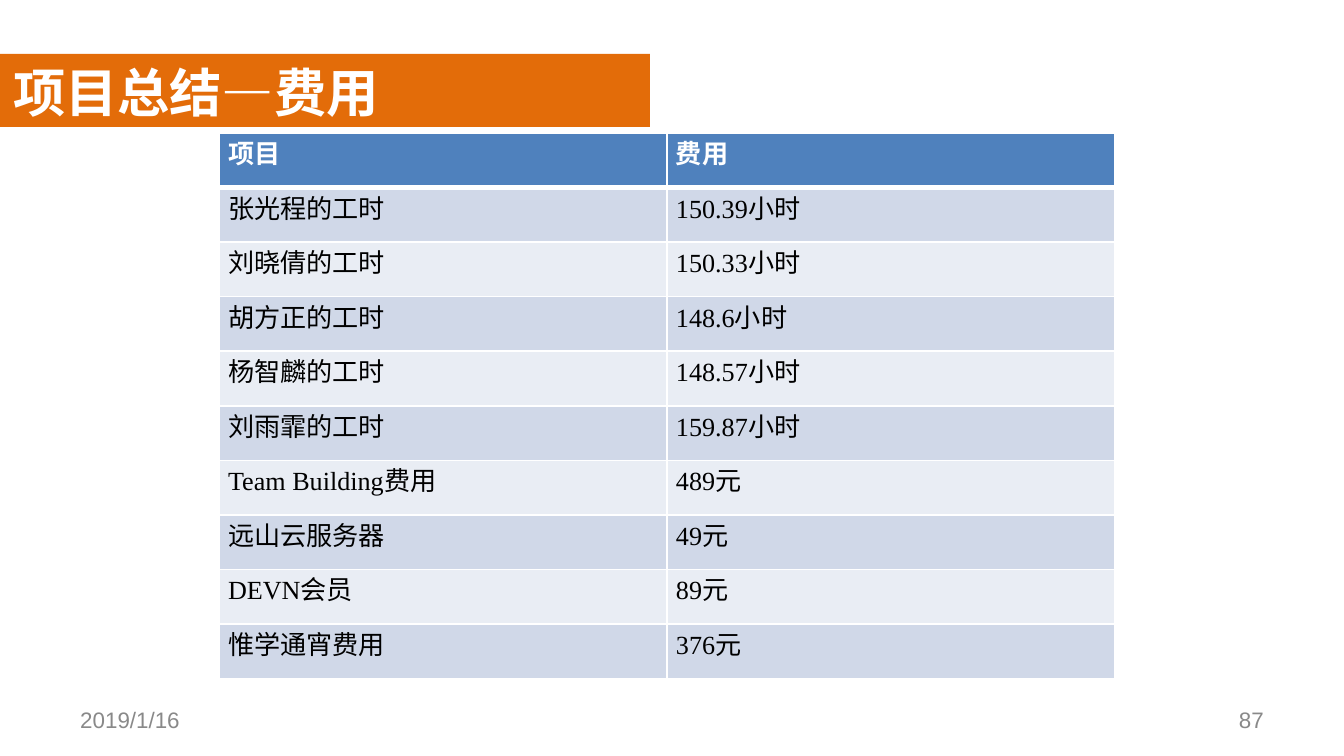
from dataclasses import dataclass

from lxml.etree import SubElement
from pptx import Presentation
from pptx.dml.color import RGBColor as RGB
from pptx.enum.shapes import MSO_SHAPE as Shape
from pptx.enum.text import MSO_ANCHOR as Anchor, PP_ALIGN as Align
from pptx.oxml.ns import qn
from pptx.util import Emu, Pt

PX = 914400 / 134.4


def px(n):
    return Emu(round(n * PX))


@dataclass(frozen=True)
class Theme:
    white: str = "FFFFFF"
    black: str = "000000"
    orange: str = "E36C09"
    gray: str = "898989"
    header: str = "4F81BD"
    bands: tuple = ("D0D8E8", "E9EDF4")
    title_font: str = "Calibri"
    table_font: str = "Times New Roman"
    footer_font: str = "Arial"
    title_size: int = 28
    table_size: int = 14
    footer_size: int = 12
    rule: int = 1
    header_rule: int = 3


class Deck:
    def __init__(self, theme, width, height):
        self.t = theme
        self.prs = Presentation()
        self.prs.slide_width, self.prs.slide_height = px(width), px(height)
        self.s = self.prs.slides.add_slide(self.prs.slide_layouts[6])

    def set_text(self, tf, text, font, size, color, bold=False, align=Align.LEFT):
        tf.text = text
        p = tf.paragraphs[0]
        p.alignment = align
        for r in p.runs:
            r.font.name, r.font.size, r.font.bold = font, Pt(size), bold
            r.font.color.rgb = RGB.from_string(color)

    def bar(self, box, color):
        sp = self.s.shapes.add_shape(Shape.RECTANGLE, *map(px, box))
        sp.shadow.inherit = False
        sp.fill.solid()
        sp.fill.fore_color.rgb = RGB.from_string(color)
        sp.line.fill.background()

    def text(self, box, text, font, size, color, anchor=Anchor.TOP, **style):
        tf = self.s.shapes.add_textbox(*map(px, box)).text_frame
        tf.word_wrap = True
        tf.vertical_anchor = anchor
        self.set_text(tf, text, font, size, color, **style)

    def borders(self, cell, **widths):
        tc_pr = cell._tc.get_or_add_tcPr()
        for side in "LRTB":
            width = widths.get(side, self.t.rule)
            ln = SubElement(tc_pr, qn(f"a:ln{side}"), w=str(Pt(width)))
            fill = SubElement(ln, qn("a:solidFill"))
            SubElement(fill, qn("a:srgbClr"), val=self.t.white)

    def table(self, box, rows):
        t = self.t
        grid = self.s.shapes.add_table(len(rows), len(rows[0]), *map(px, box)).table
        for i, row in enumerate(rows):
            head = i == 0
            color = t.header if head else t.bands[(i - 1) % 2]
            edges = {0: {"B": t.header_rule}, 1: {"T": t.header_rule}}.get(i, {})
            for j, value in enumerate(row):
                cell = grid.cell(i, j)
                cell.margin_left = cell.margin_right = px(9)
                cell.margin_top = cell.margin_bottom = 0
                self.borders(cell, **edges)
                cell.fill.solid()
                cell.fill.fore_color.rgb = RGB.from_string(color)
                self.set_text(cell.text_frame, value, t.table_font, t.table_size,
                              t.white if head else t.black, head, Align.JUSTIFY)

    def save(self):
        self.prs.save("out.pptx")


COSTS = [
    ("项目", "费用"),
    ("张光程的工时", "150.39小时"),
    ("刘晓倩的工时", "150.33小时"),
    ("胡方正的工时", "148.6小时"),
    ("杨智麟的工时", "148.57小时"),
    ("刘雨霏的工时", "159.87小时"),
    ("Team Building费用", "489元"),
    ("远山云服务器", "49元"),
    ("DEVN会员", "89元"),
    ("惟学通宵费用", "376元"),
]


def main():
    t = Theme()
    deck = Deck(t, 1344, 756)
    deck.bar((0, 54, 650, 73), t.orange)
    deck.text((0, 54, 650, 77), "项目总结—费用", t.title_font, t.title_size, t.white, bold=True)
    for x, text, align in ((67, "2019/1/16", Align.LEFT), (964, "87", Align.RIGHT)):
        deck.text((x, 700, 313, 40), text, t.footer_font, t.footer_size, t.gray,
                  anchor=Anchor.MIDDLE, align=align)
    deck.table((219, 133, 896, 546), COSTS)
    deck.save()


if __name__ == "__main__":
    main()
